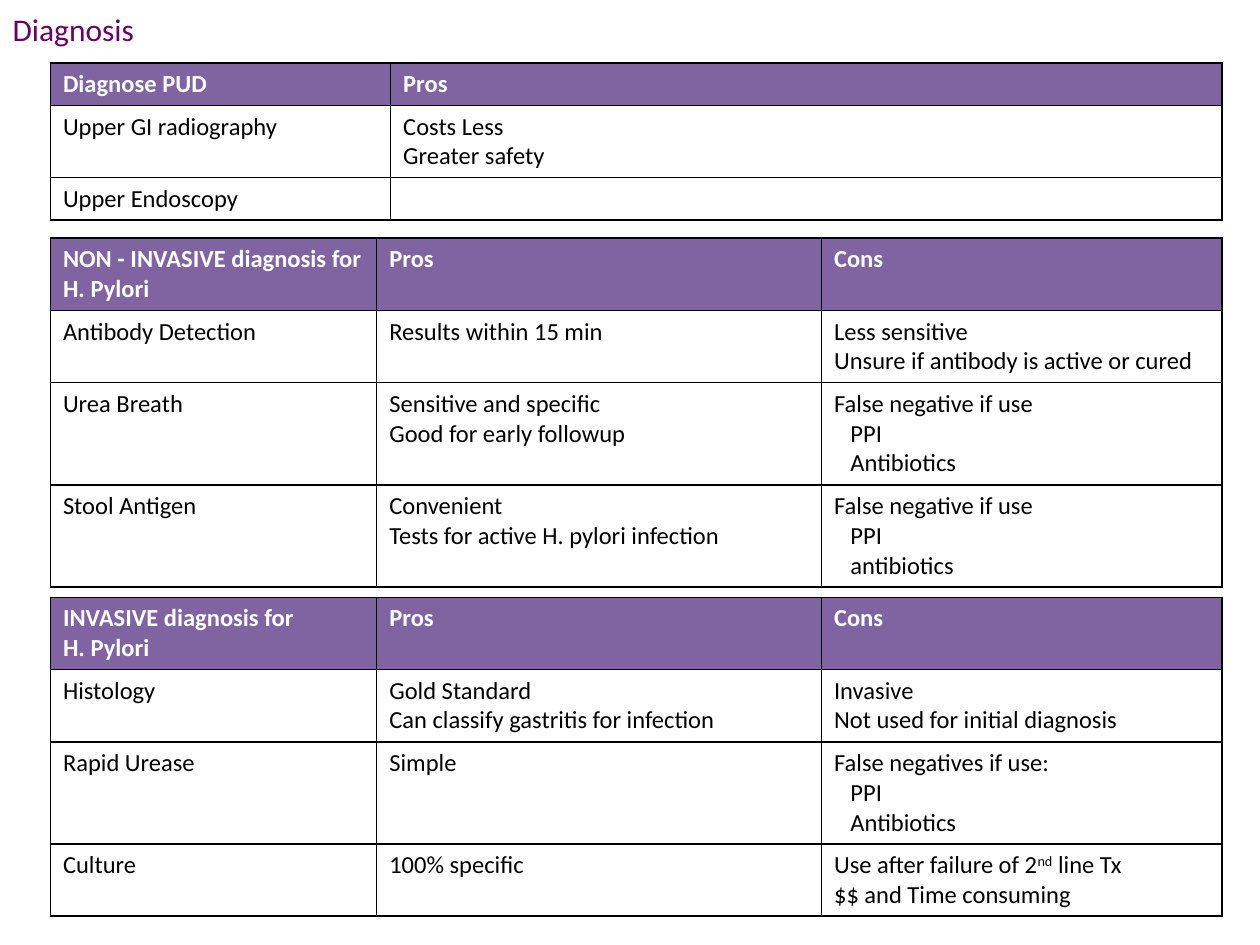
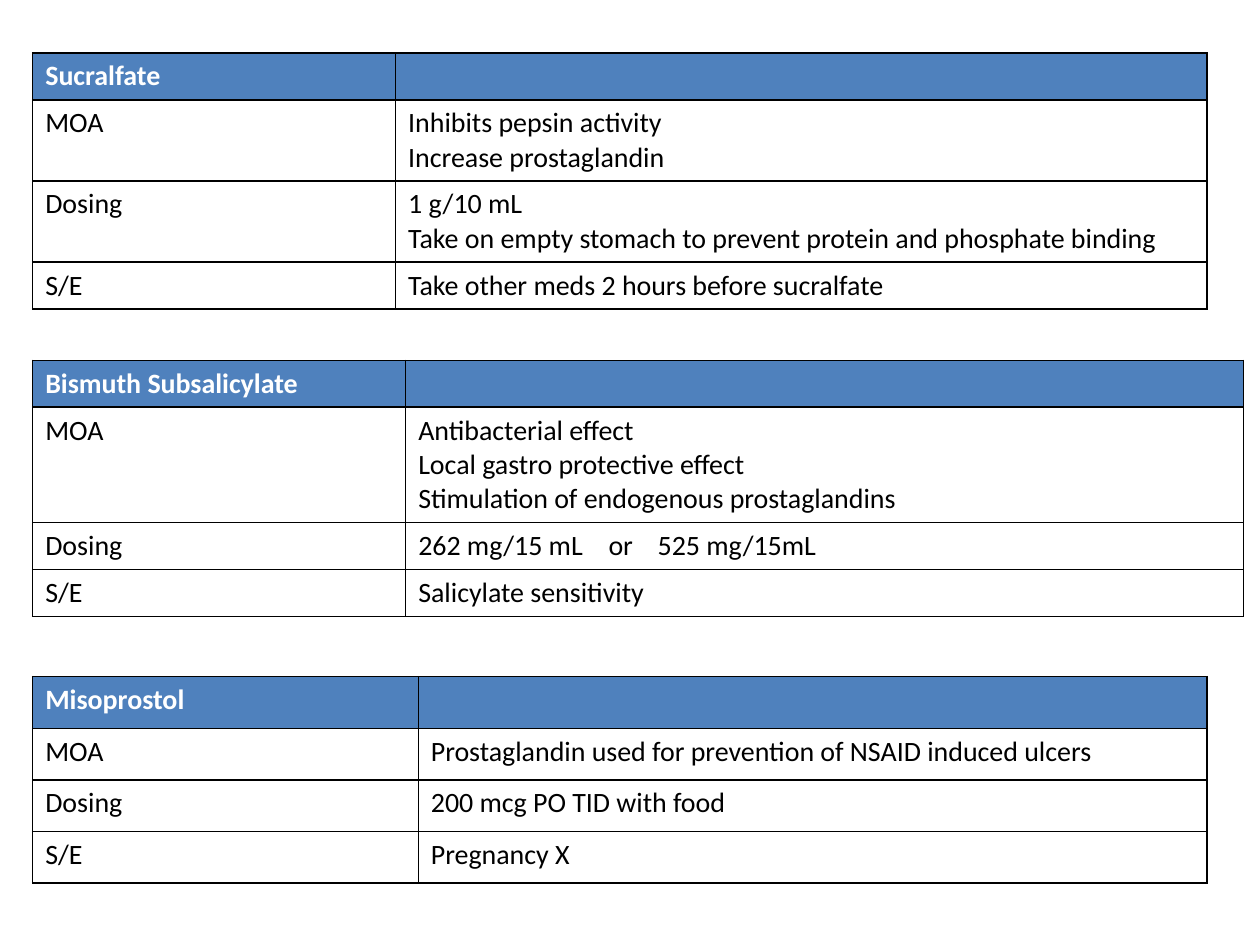
"""Build two slides of tables on ulcer diagnosis and treatment."""
from dataclasses import dataclass

from lxml import etree
from pptx import Presentation
from pptx.dml.color import RGBColor
from pptx.enum.text import MSO_ANCHOR, MSO_AUTO_SIZE, PP_ALIGN
from pptx.oxml.ns import qn
from pptx.util import Inches, Pt

LEFT = PP_ALIGN.LEFT
MIDDLE = MSO_ANCHOR.MIDDLE
NO_FIT = MSO_AUTO_SIZE.NONE
TITLE_ONLY, BLANK = 5, 6


@dataclass(frozen=True)
class Theme:
    """Colours, type sizes and measures used on every slide."""
    font: str = "Calibri"
    title: RGBColor = RGBColor(0x66, 0x00, 0x66)
    purple: RGBColor = RGBColor(0x80, 0x64, 0xA2)
    blue: RGBColor = RGBColor(0x4F, 0x81, 0xBD)
    white: RGBColor = RGBColor(0xFF, 0xFF, 0xFF)
    black: RGBColor = RGBColor(0x00, 0x00, 0x00)
    border: str = "000000"
    title_pt: int = 18
    diagnosis_pt: int = 14
    drug_pt: int = 16
    border_pt: int = 1
    line_factor: float = 1.21
    cell_padding: float = 0.1
    indent: float = 0.13


THEME = Theme()


@dataclass(frozen=True)
class TableSpec:
    """A table: a header row first, '>' indents a line, '^' encloses superscript."""
    left: float
    top: float
    cols: tuple[float, ...]
    rows: tuple[tuple[str, ...], ...]
    size: int
    header_fill: RGBColor
    min_row: float = 0
    tabs: tuple[float, ...] = ()


def diagnosis_table(top: float, cols: tuple[float, ...], *rows: tuple[str, ...]) -> TableSpec:
    """Describe a purple table of diagnostic tests."""
    return TableSpec(0.4, top, cols, rows, THEME.diagnosis_pt, THEME.purple)


def drug_table(top: float, cols: tuple[float, ...], name: str, moa: str, dosing: str,
               effects: str, min_row: float = 0, tabs: tuple[float, ...] = ()) -> TableSpec:
    """Describe a blue table of one drug's properties."""
    rows = ((name, ""), ("MOA", moa), ("Dosing", dosing), ("S/E", effects))
    return TableSpec(0.26, top, cols, rows, THEME.drug_pt, THEME.blue, min_row, tabs)


TEST_COLS = (2.59, 3.53, 3.18)

DIAGNOSIS_TABLES = (
    diagnosis_table(
        0.5, (2.7, 6.6),
        ("Diagnose PUD", "Pros"),
        ("Upper GI radiography", "Costs Less\nGreater safety"),
        ("Upper Endoscopy", ""),
    ),
    diagnosis_table(
        1.89, TEST_COLS,
        ("NON - INVASIVE diagnosis for\nH. Pylori", "Pros", "Cons"),
        ("Antibody Detection", "Results within 15 min",
         "Less sensitive\nUnsure if antibody is active or cured"),
        ("Urea Breath", "Sensitive and specific\nGood for early followup",
         "False negative if use\n>PPI\n>Antibiotics"),
        ("Stool Antigen", "Convenient\nTests for active H. pylori infection",
         "False negative if use\n>PPI\n>antibiotics"),
    ),
    diagnosis_table(
        4.74, TEST_COLS,
        ("INVASIVE diagnosis for\nH. Pylori", "Pros", "Cons"),
        ("Histology", "Gold Standard\nCan classify gastritis for infection",
         "Invasive\nNot used for initial diagnosis"),
        ("Rapid Urease", "Simple", "False negatives if use:\n>PPI\n>Antibiotics"),
        ("Culture", "100% specific",
         "Use after failure of 2^nd^ line Tx\n$$ and Time consuming"),
    ),
)

DRUG_TABLES = (
    drug_table(
        0.42, (2.88, 6.44), "Sucralfate",
        "Inhibits pepsin activity\nIncrease prostaglandin",
        "1 g/10 mL\nTake on empty stomach to prevent protein and phosphate binding",
        "Take other meds 2 hours before sucralfate",
    ),
    drug_table(
        2.86, (2.96, 6.65), "Bismuth Subsalicylate",
        "Antibacterial effect\nLocal gastro protective effect\n"
        "Stimulation of endogenous prostaglandins",
        "262 mg/15 mL\tor\t525 mg/15mL",
        "Salicylate sensitivity", tabs=(1.51, 1.9),
    ),
    drug_table(
        5.37, (3.06, 6.26), "Misoprostol",
        "Prostaglandin used for prevention of NSAID induced ulcers",
        "200 mcg PO TID with food", "Pregnancy X", min_row=0.41,
    ),
)


def set_font(p, size: int, color: RGBColor, bold: bool = False) -> None:
    """Format a whole paragraph."""
    p.font.name = THEME.font
    p.font.size = Pt(size)
    p.font.bold = bold
    p.font.color.rgb = color


def add_borders(cell) -> None:
    """Draw the four borders of a cell."""
    tc_pr = cell._tc.get_or_add_tcPr()
    for side in ("a:lnL", "a:lnR", "a:lnT", "a:lnB"):
        ln = etree.SubElement(tc_pr, qn(side), w=str(Pt(THEME.border_pt)))
        fill = etree.SubElement(ln, qn("a:solidFill"))
        etree.SubElement(fill, qn("a:srgbClr"), val=THEME.border)


def write_line(p, line: str, spec: TableSpec, is_header: bool) -> None:
    """Write one paragraph with its indent, tab stops and superscripts."""
    p_pr = p._p.get_or_add_pPr()
    if line.startswith(">"):
        p_pr.set("marL", str(Inches(THEME.indent)))
    if "\t" in line:
        tab_list = etree.SubElement(p_pr, qn("a:tabLst"))
        for pos in spec.tabs:
            etree.SubElement(tab_list, qn("a:tab"), pos=str(Inches(pos)), algn="l")
    set_font(p, spec.size, THEME.white if is_header else THEME.black, is_header)
    if not line:
        p._p.get_or_add_endParaRPr().set("sz", str(spec.size * 100))
        return
    for i, part in enumerate(line.removeprefix(">").split("^")):
        r = p.add_run()
        r.text = part
        if i % 2:
            r.font._element.set("baseline", "30000")


def fill_cell(cell, text: str, spec: TableSpec, is_header: bool) -> None:
    """Give a cell its borders, fill and text."""
    add_borders(cell)
    if is_header:
        cell.fill.solid()
        cell.fill.fore_color.rgb = spec.header_fill
    else:
        cell.fill.background()
    tf = cell.text_frame
    for i, line in enumerate(text.split("\n")):
        p = tf.add_paragraph() if i else tf.paragraphs[0]
        write_line(p, line, spec, is_header)


def row_height(row: tuple[str, ...], spec: TableSpec) -> float:
    """Return the height that the tallest cell of a row needs."""
    lines = max(text.count("\n") + 1 for text in row)
    needed = lines * spec.size * THEME.line_factor / 72 + THEME.cell_padding
    return max(spec.min_row, needed)


def add_spec_table(slide, spec: TableSpec) -> None:
    """Draw a described table."""
    heights = [row_height(row, spec) for row in spec.rows]
    table = slide.shapes.add_table(
        len(spec.rows), len(spec.cols), Inches(spec.left), Inches(spec.top),
        Inches(sum(spec.cols)), Inches(sum(heights))).table
    table.horz_banding = False
    for column, width in zip(table.columns, spec.cols):
        column.width = Inches(width)
    for i, (row, height) in enumerate(zip(spec.rows, heights)):
        table.rows[i].height = Inches(height)
        for j, text in enumerate(row):
            fill_cell(table.cell(i, j), text, spec, i == 0)


def set_title(slide, text: str) -> None:
    """Place the title in the top left corner."""
    sp = slide.shapes.title
    sp.left, sp.top, sp.width, sp.height = map(Inches, (0, 0.03, 1.18, 0.4))
    tf = sp.text_frame
    tf.text = text
    tf.word_wrap = False
    tf.auto_size = NO_FIT
    tf.vertical_anchor = MIDDLE
    p = tf.paragraphs[0]
    p.alignment = LEFT
    set_font(p, THEME.title_pt, THEME.title)


def main() -> None:
    """Build and save the presentation."""
    prs = Presentation()
    prs.slide_width, prs.slide_height = Inches(10), Inches(7.5)
    for layout, title, specs in ((TITLE_ONLY, "Diagnosis", DIAGNOSIS_TABLES),
                                 (BLANK, "", DRUG_TABLES)):
        slide = prs.slides.add_slide(prs.slide_layouts[layout])
        if title:
            set_title(slide, title)
        for spec in specs:
            add_spec_table(slide, spec)
    prs.save("out.pptx")


if __name__ == "__main__":
    main()
